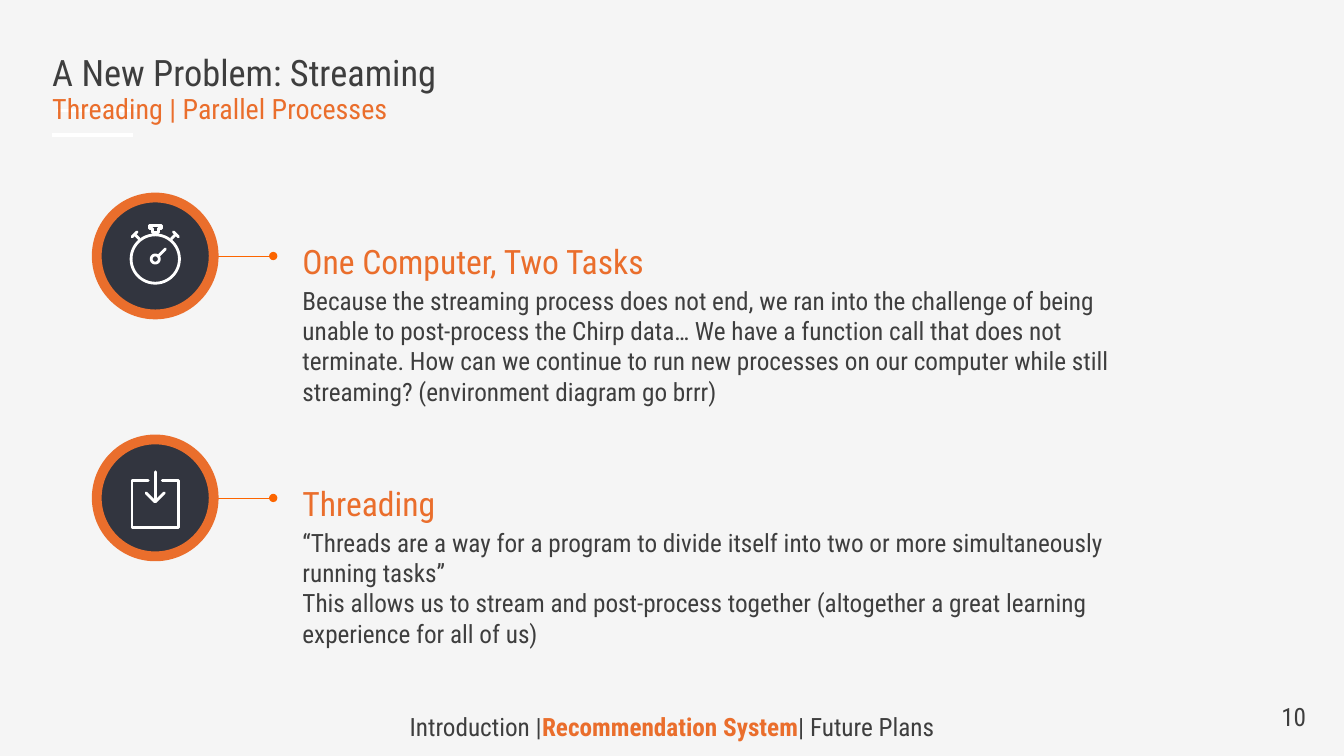
from math import cos, sin, tau
from lxml import etree
from pptx import Presentation
from pptx.dml.color import RGBColor as RGB
from pptx.enum.shapes import MSO_CONNECTOR as LINE, MSO_SHAPE as SHAPE
from pptx.enum.text import MSO_ANCHOR as ANCHOR, PP_ALIGN as ALIGN
from pptx.oxml.ns import qn
from pptx.util import Inches, Pt

WHITE = RGB(0xFF, 0xFF, 0xFF)
PAPER = RGB(0xF5, 0xF5, 0xF5)
DARK = RGB(0x3E, 0x3E, 0x3E)
NAVY = RGB(0x32, 0x35, 0x3F)
ORANGE = RGB(0xEA, 0x6E, 0x2C)
BRIGHT = RGB(0xFC, 0x65, 0x00)
FONT = "Roboto Condensed"

deck = Presentation()
deck.slide_width, deck.slide_height = Inches(13.33), Inches(7.5)
slide = deck.slides.add_slide(deck.slide_layouts[6])
slide.background.fill.solid()
slide.background.fill.fore_color.rgb = PAPER
shapes = slide.shapes


def add_text(box, lines, size, color, inset=0.1, spacing=1.0):
    frame = shapes.add_textbox(*map(Inches, box)).text_frame
    frame.word_wrap = True
    frame.margin_left = frame.margin_right = Inches(inset)
    frame.margin_top = frame.margin_bottom = Inches(0.05 if inset == 0.1 else inset)
    frame.text = lines
    for para in frame.paragraphs:
        para.line_spacing = spacing
        for run in para.runs:
            run.font.name, run.font.size = FONT, Pt(size)
            run.font.color.rgb = color
    return frame


def add_line(x1, x2, y, color, width):
    line = shapes.add_connector(LINE.STRAIGHT, Inches(x1), Inches(y), Inches(x2), Inches(y))
    line.line.color.rgb, line.line.width = color, Pt(width)
    etree.SubElement(line._element.spPr, qn("a:effectLst"))
    return line


# Icon strokes, as offsets from the icon centre
turns = [tau * i / 48 for i in range(49)]
dial, hub = ([(r * cos(t), r * sin(t)) for t in turns] for r in (0.24, 0.04))
crown = [(-0.06, -0.33), (0.06, -0.33), (0.06, -0.3), (0.03, -0.3), (0.03, -0.26),
         (-0.03, -0.26), (-0.03, -0.3), (-0.06, -0.3), (-0.06, -0.33)]
watch = [dial, hub, crown, [(0.03, -0.03), (0.1, -0.1)]]
for side in (-1, 1):
    watch.append([(side * 0.23, -0.22), (side * 0.18, -0.27)])
    watch.append([(side * 0.2, -0.24), (side * 0.16, -0.2)])
tray = [
    [(-0.07, -0.2), (-0.23, -0.2), (-0.23, 0.26), (0.23, 0.26), (0.23, -0.2), (0.07, -0.2)],
    [(0, -0.29), (0, 0)],
    [(-0.09, -0.08), (0, 0.01), (0.09, -0.08)],
]

# Title
add_line(0.57, 1.38, 1.1, WHITE, 2.25)
add_text((0.42, 0.5, 11.5, 0.59), "A New Problem: Streaming", 26, DARK, spacing=0.9)
add_line(0.52, 1.32, 1.34, WHITE, 2.25)
add_text((0.42, 0.9, 11.5, 0.59), "Threading | Parallel Processes", 20, ORANGE, spacing=0.9)

# Topics: pointer, texts, disc and icon
topics = [
    ("One Computer, Two Tasks", watch, 8.39, 1.2,
     "Because the streaming process does not end, we ran into the challenge of being "
     "unable to post-process the Chirp data… We have a function call that does not "
     "terminate. How can we continue to run new processes on our computer while still "
     "streaming? (environment diagram go brrr)"),
    ("Threading", tray, 8.53, 0.96,
     "“Threads are a way for a program to divide itself into two or more simultaneously "
     "running tasks”\n"
     "This allows us to stream and post-process together (altogether a great learning "
     "experience for all of us)"),
]
for row, (head, icon, wide, high, body) in enumerate(topics):
    mid = 2.54 + 2.4 * row
    pointer = add_line(1.96, 2.71, mid, BRIGHT, 0.5)
    etree.SubElement(pointer.line._get_or_add_ln(), qn("a:tailEnd"), type="oval")
    add_text((2.87, mid - 0.48, 7.14, 0.69), head, 24, ORANGE, 0.13, 1.5)
    add_text((2.87, mid + 0.16, wide, high), body, 18, DARK, 0.13)

    disc = shapes.add_shape(SHAPE.OVAL, Inches(0.96), Inches(mid - 0.58), Inches(1.16), Inches(1.16))
    disc.shadow.inherit = False
    disc.fill.solid()
    disc.fill.fore_color.rgb = NAVY
    disc.line.color.rgb, disc.line.width = ORANGE, Pt(7)

    pen = None
    for stroke in icon:
        start, *rest = [(Inches(1.54 + x), Inches(mid + 0.03 + y)) for x, y in stroke]
        if pen is None:
            pen = shapes.build_freeform(*start)
        else:
            pen.move_to(*start)
        pen.add_line_segments(rest, close=False)
    mark = pen.convert_to_shape()
    mark.shadow.inherit = False
    mark.fill.background()
    mark.line.color.rgb, mark.line.width = WHITE, Pt(2)
    edge = mark.line._get_or_add_ln()
    edge.set("cap", "rnd")
    etree.SubElement(edge, qn("a:round"))

# Footer
add_text((12.61, 6.91, 0.7, 0.4), "10", 18, DARK)
foot = add_text((0, 6.91, 13.33, 0.59), "Introduction |", 18, DARK)
foot.vertical_anchor = ANCHOR.MIDDLE
trail = foot.paragraphs[0]
trail.alignment = ALIGN.CENTER
for words, color, bold in (("Recommendation System", ORANGE, True), ("| Future Plans", DARK, False)):
    run = trail.add_run()
    run.text = words
    run.font.name, run.font.size, run.font.bold = FONT, Pt(18), bold
    run.font.color.rgb = color

deck.save("out.pptx")
